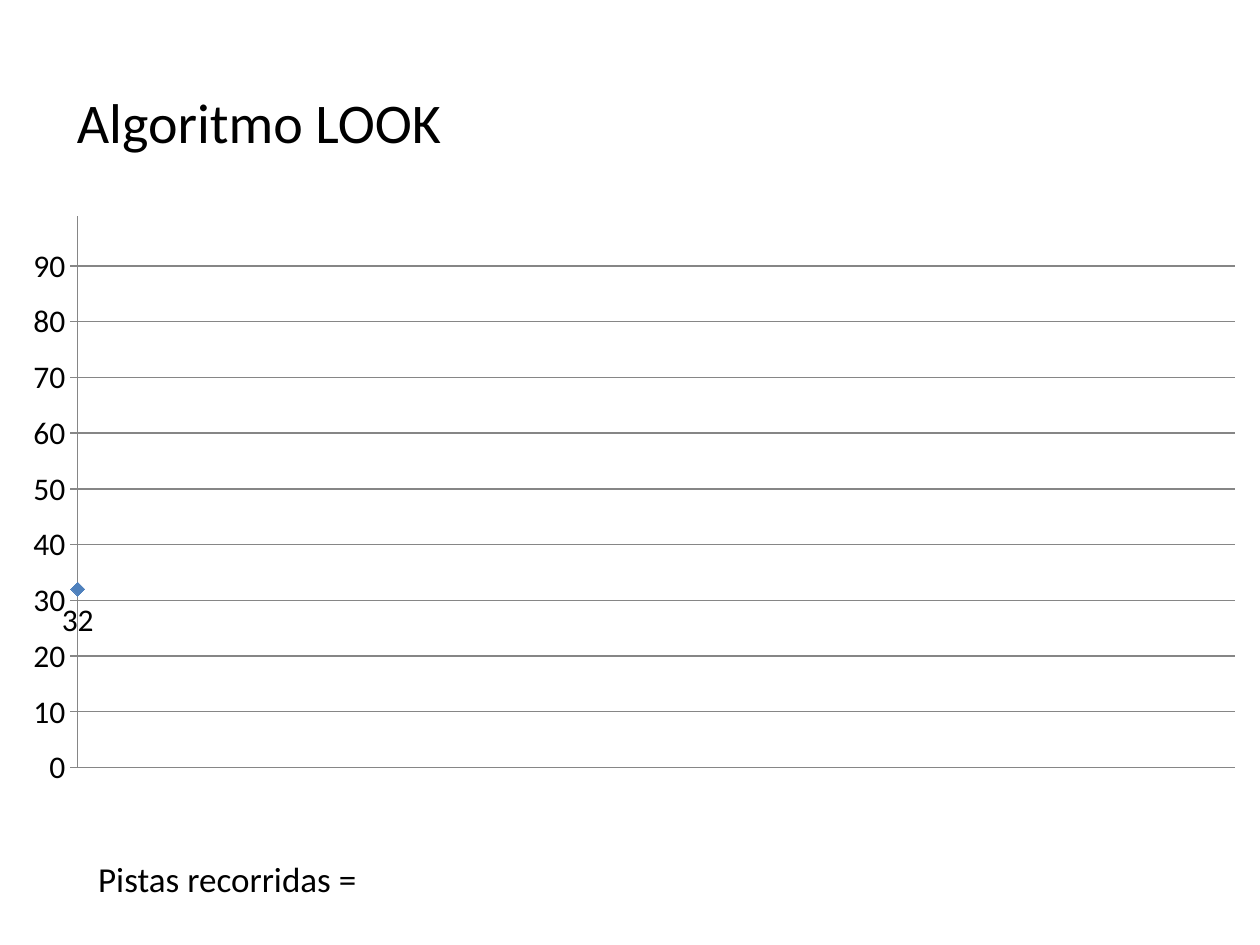
import pptx
import pptx.chart.data
import pptx.dml.color
import pptx.enum.chart
import pptx.enum.text
import pptx.util
import lxml.etree

Cm = pptx.util.Cm
Pt = pptx.util.Pt
xl = pptx.enum.chart

COLORS = {"text": "000000", "series": "4F81BD", "axis": "868686", "bg": "FFFFFF"}
FONT = "Calibri"
PLOT = {"x": 0.055, "y": 0.02, "w": 0.925, "h": 0.928}


def rgb(name):
    return pptx.dml.color.RGBColor.from_string(COLORS[name])


def set_attrs(obj, values):
    for name, value in values.items():
        setattr(obj, name, value)


def set_font(font, size):
    set_attrs(font, {"name": FONT, "size": Pt(size), "bold": False})
    font.color.rgb = rgb("text")


def set_line(line, color, width=0.75):
    line.color.rgb = rgb(color)
    line.width = Pt(width)


def add_text(s, box, text, size):
    tf = s.shapes.add_textbox(*map(Cm, box)).text_frame
    set_attrs(tf, {"word_wrap": True,
                   "vertical_anchor": pptx.enum.text.MSO_ANCHOR.MIDDLE})
    r = tf.paragraphs[0].add_run()
    r.text = text
    set_font(r.font, size)


def set_plot_layout(chart):
    area = chart._chartSpace.chart.plotArea
    ns = area.nsmap["c"]
    for old in area.findall(f"{{{ns}}}layout"):
        area.remove(old)
    layout = lxml.etree.Element(f"{{{ns}}}layout")
    manual = lxml.etree.SubElement(layout, f"{{{ns}}}manualLayout")
    values = {"layoutTarget": "inner", "xMode": "edge", "yMode": "edge", **PLOT}
    for tag, value in values.items():
        lxml.etree.SubElement(manual, f"{{{ns}}}{tag}").set("val", str(value))
    area.insert(0, layout)


def add_track_chart(s, box):
    data = pptx.chart.data.XyChartData()
    data.add_series("Series 1").add_data_point(0, 32)
    chart = s.shapes.add_chart(
        xl.XL_CHART_TYPE.XY_SCATTER_LINES, *map(Cm, box), data).chart
    set_attrs(chart, {"has_legend": False, "has_title": False})
    set_font(chart.font, 18)
    set_plot_layout(chart)

    ticks, labels = xl.XL_TICK_MARK, xl.XL_TICK_LABEL_POSITION
    set_attrs(chart.category_axis, {
        "minimum_scale": 0, "maximum_scale": 139, "has_major_gridlines": False,
        "major_tick_mark": ticks.NONE, "minor_tick_mark": ticks.NONE,
        "tick_label_position": labels.NONE})
    set_attrs(chart.value_axis, {
        "minimum_scale": 0, "maximum_scale": 99, "major_unit": 10,
        "has_major_gridlines": True, "major_tick_mark": ticks.OUTSIDE,
        "minor_tick_mark": ticks.NONE,
        "tick_label_position": labels.NEXT_TO_AXIS})
    for line in (chart.category_axis.format.line, chart.value_axis.format.line,
                 chart.value_axis.major_gridlines.format.line):
        set_line(line, "axis")

    plot = chart.plots[0]
    plot.vary_by_categories = False
    series = plot.series[0]
    series._element.get_or_add_smooth().val = False
    set_line(series.format.line, "series")
    set_attrs(series.marker, {"style": xl.XL_MARKER_STYLE.DIAMOND, "size": 8})
    series.marker.format.fill.solid()
    series.marker.format.fill.fore_color.rgb = rgb("series")
    set_line(series.marker.format.line, "series")
    label = series.points[0].data_label
    set_font(label.font, 18)
    label.position = xl.XL_LABEL_POSITION.BELOW


def add_look_slide(prs):
    s = prs.slides.add_slide(prs.slide_layouts[6])
    s.background.fill.solid()
    s.background.fill.fore_color.rgb = rgb("bg")
    add_track_chart(s, (0.18, 4.11, 25.22, 11.99))
    add_text(s, (1.3, 0.74, 22.86, 3.4), "Algoritmo LOOK", 32)
    add_text(s, (1.73, 16.71, 21.39, 2.01), "Pistas recorridas =", 20)


def main():
    prs = pptx.Presentation()
    set_attrs(prs, {"slide_width": Cm(25.4), "slide_height": Cm(19.05)})
    add_look_slide(prs)
    prs.save("out.pptx")


if __name__ == "__main__":
    main()
